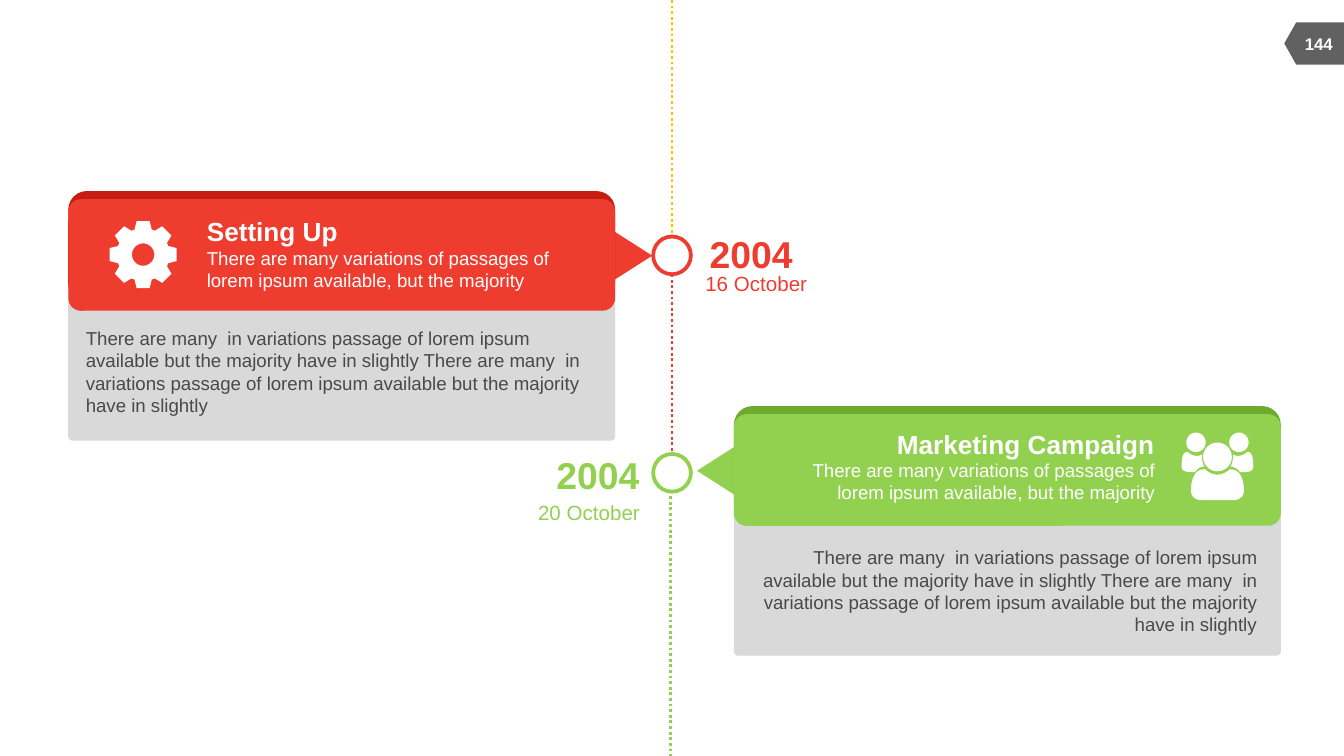
from math import cos, radians, sin

from lxml.etree import SubElement
from pptx import Presentation
from pptx.dml.color import RGBColor
from pptx.enum.dml import MSO_LINE
from pptx.enum.shapes import MSO_CONNECTOR, MSO_SHAPE
from pptx.enum.text import MSO_ANCHOR, MSO_AUTO_SIZE, PP_ALIGN
from pptx.oxml.ns import qn
from pptx.util import Pt

COLORS = {
    "red": "EE3C2E", "dark_red": "C51D10", "green": "92D050",
    "dark_green": "6EAA2E", "yellow": "FFC000", "panel": "D9D9D9",
    "text": "494949", "tag": "616161", "white": "FFFFFF",
}
SUMMARY = "There are many variations of passages of lorem ipsum available, but the majority"
DETAIL = " ".join(["There are many  in variations passage of lorem ipsum "
                   "available but the majority have in slightly"] * 2)
LEFT, CENTER, RIGHT = PP_ALIGN.LEFT, PP_ALIGN.CENTER, PP_ALIGN.RIGHT


def rgb(name):
    return RGBColor.from_string(COLORS[name])


def paint(sp, color):
    sp.shadow.inherit = False
    sp.fill.solid()
    sp.fill.fore_color.rgb = rgb(color)
    sp.line.fill.background()


def add_shape(s, kind, x, y, w, h, color, adj=None, rotation=0):
    sp = s.shapes.add_shape(kind, Pt(x), Pt(y), Pt(w), Pt(h))
    paint(sp, color)
    if adj is not None:
        sp.adjustments[0] = adj
    sp.rotation = rotation
    return sp


def add_text(s, x, y, w, h, text, size, color, align=LEFT, bold=False,
             wrap=False, anchor=MSO_ANCHOR.MIDDLE):
    tf = s.shapes.add_textbox(Pt(x), Pt(y), Pt(w), Pt(h)).text_frame
    tf.margin_left = tf.margin_right = tf.margin_top = tf.margin_bottom = 0
    tf.word_wrap = wrap
    tf.auto_size = MSO_AUTO_SIZE.SHAPE_TO_FIT_TEXT
    tf.vertical_anchor = anchor
    p = tf.paragraphs[0]
    p.text = text
    p.alignment = align
    font = p.runs[0].font
    font.name, font.size, font.bold = "Arial", Pt(size), bold
    font.color.rgb = rgb(color)


def add_dotted_line(s, x, top, bottom, color):
    line = s.shapes.add_connector(MSO_CONNECTOR.STRAIGHT, Pt(x), Pt(top), Pt(x), Pt(bottom))
    line.line.color.rgb = rgb(color)
    line.line.width = Pt(1.5)
    line.line.dash_style = MSO_LINE.ROUND_DOT
    SubElement(line._element.spPr, qn("a:effectLst"))


def add_outline(s, x, y, contours, color):
    contours = [[(Pt(px), Pt(py)) for px, py in c] for c in contours]
    builder = s.shapes.build_freeform(*contours[0][0])
    builder.add_line_segments(contours[0][1:])
    for contour in contours[1:]:
        builder.move_to(*contour[0])
        builder.add_line_segments(contour[1:])
    paint(builder.convert_to_shape(Pt(x), Pt(y)), color)


def polar(cx, cy, radius, degrees):
    a = radians(degrees)
    return cx + radius * cos(a), cy + radius * sin(a)


def circle(cx, cy, radius):
    return [polar(cx, cy, radius, a) for a in range(0, 360, 10)]


def curve(start, *segments):
    points = [start]
    for b, c, d in segments:
        a = points[-1]
        for t in (i / 8 for i in range(1, 9)):
            u = 1 - t
            points.append(tuple(
                u**3 * a[k] + 3 * u * u * t * b[k] + 3 * u * t * t * c[k] + t**3 * d[k]
                for k in (0, 1)))
    return points


def mirrored(points, axis):
    return [(2 * axis - px, py) for px, py in points]


def add_gear(s, x, y):
    c = 18.2
    tooth = ((-19, 14.2), (-11, 18.3), (11, 18.3), (19, 14.2))
    rim = [polar(c, c, radius, 45 * i + offset) for i in range(8) for offset, radius in tooth]
    add_outline(s, x, y, [rim, circle(c, c, 6)], "white")


def add_people(s, x, y):
    axis = 19.2
    side = curve((4.3, 20.9),
                 ((2.2, 20.9), (0, 20.2), (0, 18)),
                 ((0, 15.8), (0, 10.1), (2.9, 10.1)),
                 ((3.6, 10.1), (5, 12.2), (7.9, 12.2)),
                 ((9.4, 12.2), (9.4, 12.2), (10.8, 11.5)),
                 ((10.8, 13.5), (11.2, 16.6), (12.2, 18)),
                 ((10.1, 18), (7.9, 19.4), (7.2, 20.9)))
    half = curve((10.8, 36),
                 ((7.2, 36), (5, 33.8), (5, 30.9)),
                 ((5, 25.9), (6.5, 19.4), (12.2, 19.4)),
                 ((13, 19.4), (15.1, 22.3), (axis, 22.3)))
    front = half + mirrored(half, axis)[-2::-1]
    head = circle(7.7, 5, 5.2)
    add_outline(s, x, y, [side, head, front, circle(axis, 12.8, 7.7),
                          mirrored(head, axis), mirrored(side, axis)], "white")


def add_card(s, x, y, w, h, title, title_w, color, on_left, add_icon):
    align = LEFT if on_left else RIGHT
    add_shape(s, MSO_SHAPE.ROUNDED_RECTANGLE, x, y + 44.6, w, h - 44.6, "panel", 0.025)
    tip = x + w + 5.4 if on_left else x - 5.4
    add_shape(s, MSO_SHAPE.ISOSCELES_TRIANGLE, tip - 18.4, y + 20.2, 36.8, 28.8, color,
              rotation=90 if on_left else 270)
    add_shape(s, MSO_SHAPE.ROUNDED_RECTANGLE, x, y, w, 59.8, "dark_" + color)
    add_shape(s, MSO_SHAPE.ROUNDED_RECTANGLE, x, y + 4.3, w, 59.8, color, 0.113)
    if on_left:
        title_x = summary_x = x + 74.2
        title_y, detail_x, detail_y = y + 13, x + 9.4, y + 72.7
        add_icon(s, x + 21.9, y + 15.8)
    else:
        title_x, summary_x = x + w - 67.7 - title_w, x + w - 67.7 - 198.7
        title_y, detail_x, detail_y = y + 11.5, x + w - 13 - 271.4, y + 74.9
        add_icon(s, x + 239.8, y + 14.4)
    add_text(s, title_x, title_y, title_w, 17.3, title, 14, "white", align, bold=True)
    for tx, ty, tw, th, text, ink in (
            (summary_x, title_y + 16.6, 198.7, 24.5, SUMMARY, "white"),
            (detail_x, detail_y, 271.4, 48.2, DETAIL, "text")):
        add_text(s, tx, ty, tw, th, text, 10, ink, align, wrap=True, anchor=MSO_ANCHOR.TOP)


def add_milestone(s, x, y, size, year, year_at, date, date_at, color, align):
    ring = add_shape(s, MSO_SHAPE.OVAL, x, y, size, size, "white")
    ring.line.color.rgb = rgb(color)
    ring.line.width = Pt(2)
    add_text(s, x + year_at[0], y + year_at[1], 44.6, 24.5, year, 20, color, bold=True)
    add_text(s, x + date_at[0], y + date_at[1], 54.7, 13.7, date, 11, color, align)


def add_page_tag(s, x, y, w, h, number):
    add_shape(s, MSO_SHAPE.FLOWCHART_OFFPAGE_CONNECTOR,
              x + (w - h) / 2, y + (h - w) / 2, h, w, "tag", rotation=90)
    add_text(s, x + 2.5, y, w, h, number, 9, "white", CENTER, bold=True)


def main():
    prs = Presentation()
    prs.slide_width, prs.slide_height = Pt(720), Pt(405)
    s = prs.slides.add_slide(prs.slide_layouts[6])
    add_page_tag(s, 688, 12, 32, 22.6, "144")
    for x, top, bottom, color in ((360, 0, 126.7, "yellow"), (360, 146.9, 243.4, "red"),
                                  (359.3, 262.8, 405, "green")):
        add_dotted_line(s, x, top, bottom, color)
    add_card(s, 36.6, 102.4, 293, 133.7, "Setting Up", 70.6, "red", True, add_gear)
    add_card(s, 393.2, 217.6, 293, 133.7, "Marketing Campaign", 138.2, "green", False, add_people)
    add_milestone(s, 349.9, 126.7, 20.2, "2004", (30.2, -2.9), "16 October", (28, 18),
                  "red", LEFT)
    add_milestone(s, 349.9, 243.2, 20.2, "2004", (-51.8, -1.2), "20 October", (-61.7, 24.6),
                  "green", RIGHT)
    prs.save("out.pptx")


if __name__ == "__main__":
    main()
